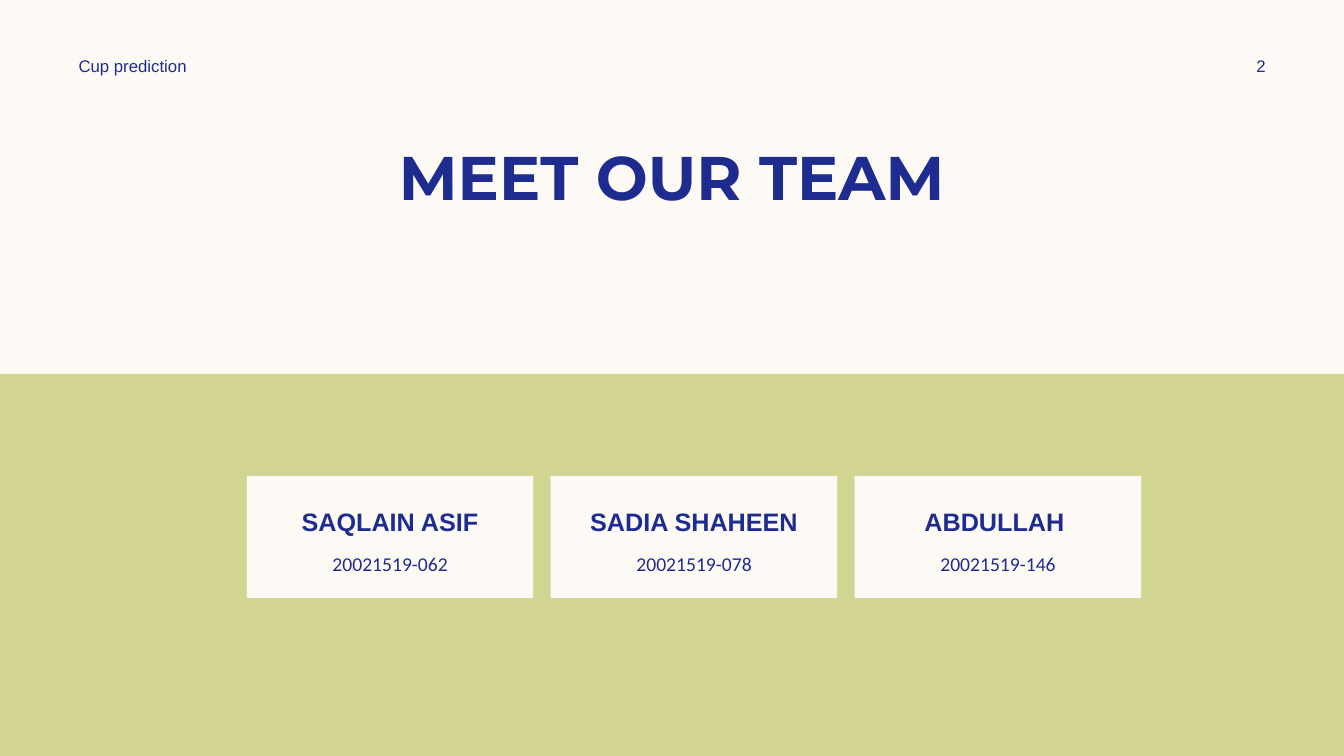
from pptx import Presentation
from pptx.dml.color import RGBColor
from pptx.enum.shapes import MSO_SHAPE
from pptx.enum.text import MSO_ANCHOR, PP_ALIGN
from pptx.util import Cm, Pt

CREAM = "FDFAF6"
GREEN = "D2D592"
NAVY = "1F2C8F"

TEAM = [
    ("SAQLAIN ASIF", "20021519-062"),
    ("SADIA SHAHEEN", "20021519-078"),
    ("ABDULLAH ", "20021519-146"),
]


def paint(fill, color):
    fill.solid()
    fill.fore_color.rgb = RGBColor.from_string(color)


def write(tf, text, size, font="Arial", bold=False, align=PP_ALIGN.CENTER,
          anchor=MSO_ANCHOR.MIDDLE):
    tf.word_wrap = True
    tf.vertical_anchor = anchor
    p = tf.paragraphs[0]
    p.text = text
    p.alignment = align
    r = p.runs[0]
    r.font.size = Pt(size)
    r.font.name = font
    r.font.bold = bold
    paint(r.font.fill, NAVY)
    return p


def add_label(s, left, top, width, height, text, size, **style):
    sp = s.shapes.add_textbox(Cm(left), Cm(top), Cm(width), Cm(height))
    return write(sp.text_frame, text, size, **style)


def add_block(s, left, top, width, height, color):
    sp = s.shapes.add_shape(MSO_SHAPE.RECTANGLE, Cm(left), Cm(top),
                            Cm(width), Cm(height))
    sp.shadow.inherit = False
    paint(sp.fill, color)
    sp.line.fill.background()
    return sp


def add_member(s, left, top, name, number):
    tf = add_block(s, left, top, 7.22, 3.08, CREAM).text_frame
    tf.margin_left = tf.margin_right = 0
    tf.margin_top = Cm(0.76)
    write(tf, name, 18, bold=True, anchor=MSO_ANCHOR.TOP)
    p = add_label(s, left + 0.44, top + 1.7, 6.35, 1.02, number, 14,
                  font="Calibri")
    p.space_before = Pt(3.6)


def main():
    prs = Presentation()
    prs.slide_width = Cm(33.87)
    prs.slide_height = Cm(19.05)
    s = prs.slides.add_slide(prs.slide_layouts[6])
    paint(s.background.fill, CREAM)

    add_block(s, -0.07, 9.42, 33.94, 9.63, GREEN)
    add_label(s, 2.12, 3.37, 29.63, 2.13, "MEET OUR TEAM", 44,
              font="Montserrat", bold=True, anchor=MSO_ANCHOR.TOP)
    add_label(s, 1.73, 1.27, 8.89, 0.76, "Cup prediction", 12,
              align=PP_ALIGN.LEFT)
    add_label(s, 30.41, 1.27, 2.74, 0.76, "2", 12)
    for i, (name, number) in enumerate(TEAM):
        add_member(s, 6.22 + i * 7.66, 11.99, name, number)

    prs.save("out.pptx")


if __name__ == "__main__":
    main()
